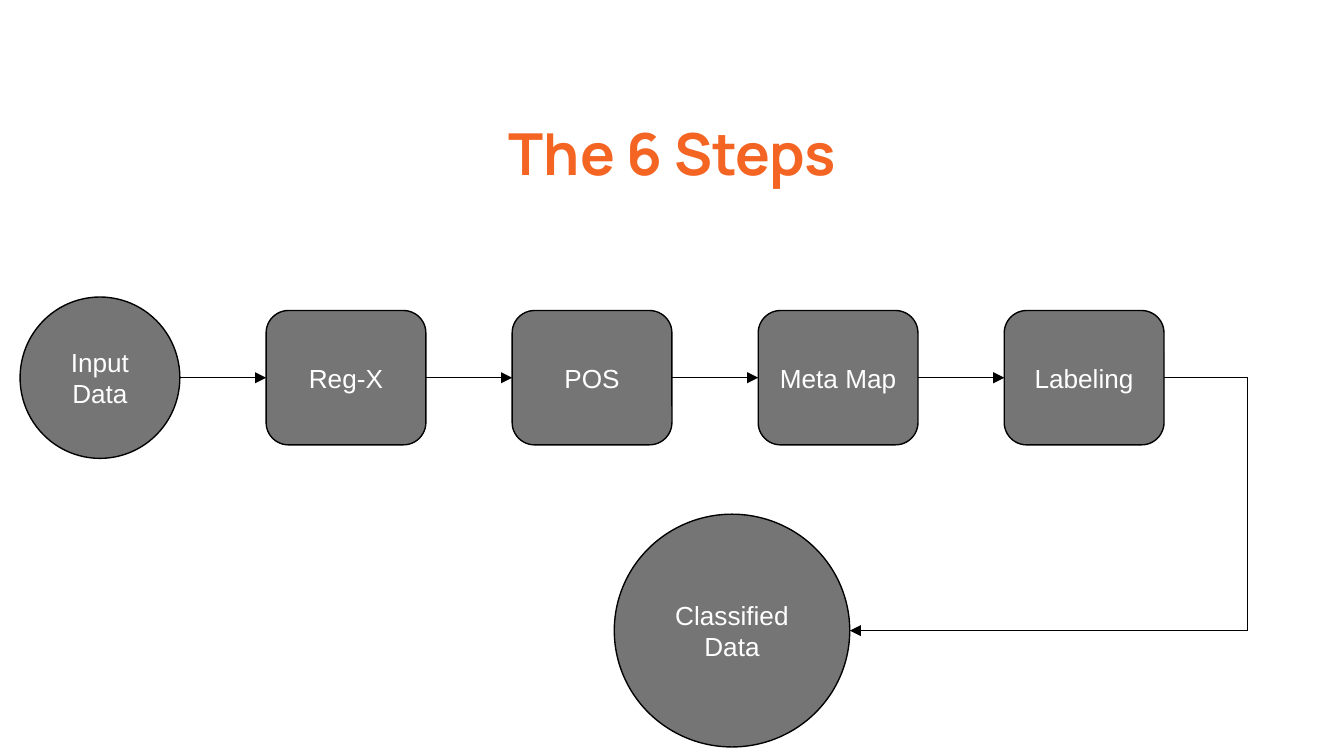
from lxml import etree
from pptx import Presentation
from pptx.dml.color import RGBColor
from pptx.enum.shapes import MSO_CONNECTOR, MSO_SHAPE
from pptx.enum.text import MSO_ANCHOR, PP_ALIGN
from pptx.oxml.ns import qn
from pptx.util import Cm, Pt

STRAIGHT = MSO_CONNECTOR.STRAIGHT
ELBOW = MSO_CONNECTOR.ELBOW
ELLIPSE = MSO_SHAPE.OVAL
ROUNDED = MSO_SHAPE.ROUNDED_RECTANGLE
CENTER = PP_ALIGN.CENTER
TOP = MSO_ANCHOR.TOP
MIDDLE = MSO_ANCHOR.MIDDLE

ORANGE, GRAY, BLACK, WHITE = "F46524", "757575", "000000", "FFFFFF"
STEPS = ["Reg-X", "POS", "Meta Map", "Labeling"]
LEFT, PITCH, NODE_WIDTH = 0.38, 4.65, 3.02
INPUT_HEIGHT, STEP_HEIGHT = 3.05, 2.54
ROW_Y, RESULT_Y = 7.14, 11.92
RESULT_LEFT, RESULT_WIDTH, RESULT_HEIGHT = 11.61, 4.45, 4.4
TURN_X = 23.58


def color(value):
    return RGBColor.from_string(value)


def write_text(shape, text, font, size, text_color, anchor, bold=False):
    frame = shape.text_frame
    frame.word_wrap = True
    frame.vertical_anchor = anchor
    frame.margin_left = frame.margin_right = Cm(0.25)
    frame.margin_top = frame.margin_bottom = Cm(0.25)
    frame.text = text
    paragraph = frame.paragraphs[0]
    paragraph.alignment = CENTER
    run = paragraph.runs[0]
    run.font.name = font
    run.font.size = Pt(size)
    run.font.bold = bold
    run.font.color.rgb = color(text_color)


def add_title(slide, text):
    box = slide.shapes.add_textbox(Cm(5.49), Cm(1.98), Cm(14.43), Cm(2.13))
    write_text(box, text, "Manrope", 31, ORANGE, TOP, bold=True)


def add_node(slide, kind, text, left, center_y, width, height):
    top = center_y - height / 2
    shape = slide.shapes.add_shape(kind, Cm(left), Cm(top), Cm(width), Cm(height))
    shape.shadow.inherit = False
    shape.fill.solid()
    shape.fill.fore_color.rgb = color(GRAY)
    shape.line.color.rgb = color(BLACK)
    shape.line.width = Pt(0.75)
    write_text(shape, text, "Arial", 14, WHITE, MIDDLE)


def add_connector(slide, kind, start, end):
    connector = slide.shapes.add_connector(kind, *map(Cm, start + end))
    connector.line.color.rgb = color(BLACK)
    connector.line.width = Pt(0.75)
    etree.SubElement(connector._element.spPr, qn("a:effectLst"))
    return connector


def add_arrow(slide, start, end):
    connector = add_connector(slide, STRAIGHT, start, end)
    line = connector.line._get_or_add_ln()
    etree.SubElement(line, qn("a:tailEnd"), type="triangle")


def add_corner(slide, start, end):
    connector = add_connector(slide, ELBOW, start, end)
    geometry = connector._element.spPr.find(qn("a:prstGeom"))
    geometry.set("prst", "bentConnector2")


def main():
    presentation = Presentation()
    presentation.slide_width = Cm(25.4)
    presentation.slide_height = Cm(14.29)
    slide = presentation.slides.add_slide(presentation.slide_layouts[6])

    add_title(slide, "The 6 Steps")
    add_node(slide, ELLIPSE, "Input Data", LEFT, ROW_Y, NODE_WIDTH, INPUT_HEIGHT)
    add_node(slide, ELLIPSE, "Classified Data", RESULT_LEFT, RESULT_Y,
             RESULT_WIDTH, RESULT_HEIGHT)

    right = LEFT + NODE_WIDTH
    for index, step in enumerate(STEPS, start=1):
        left = LEFT + index * PITCH
        add_node(slide, ROUNDED, step, left, ROW_Y, NODE_WIDTH, STEP_HEIGHT)
        add_arrow(slide, (right, ROW_Y), (left, ROW_Y))
        right = left + NODE_WIDTH

    add_corner(slide, (right, ROW_Y), (TURN_X, RESULT_Y))
    add_arrow(slide, (TURN_X, RESULT_Y), (RESULT_LEFT + RESULT_WIDTH, RESULT_Y))
    presentation.save("out.pptx")


if __name__ == "__main__":
    main()
